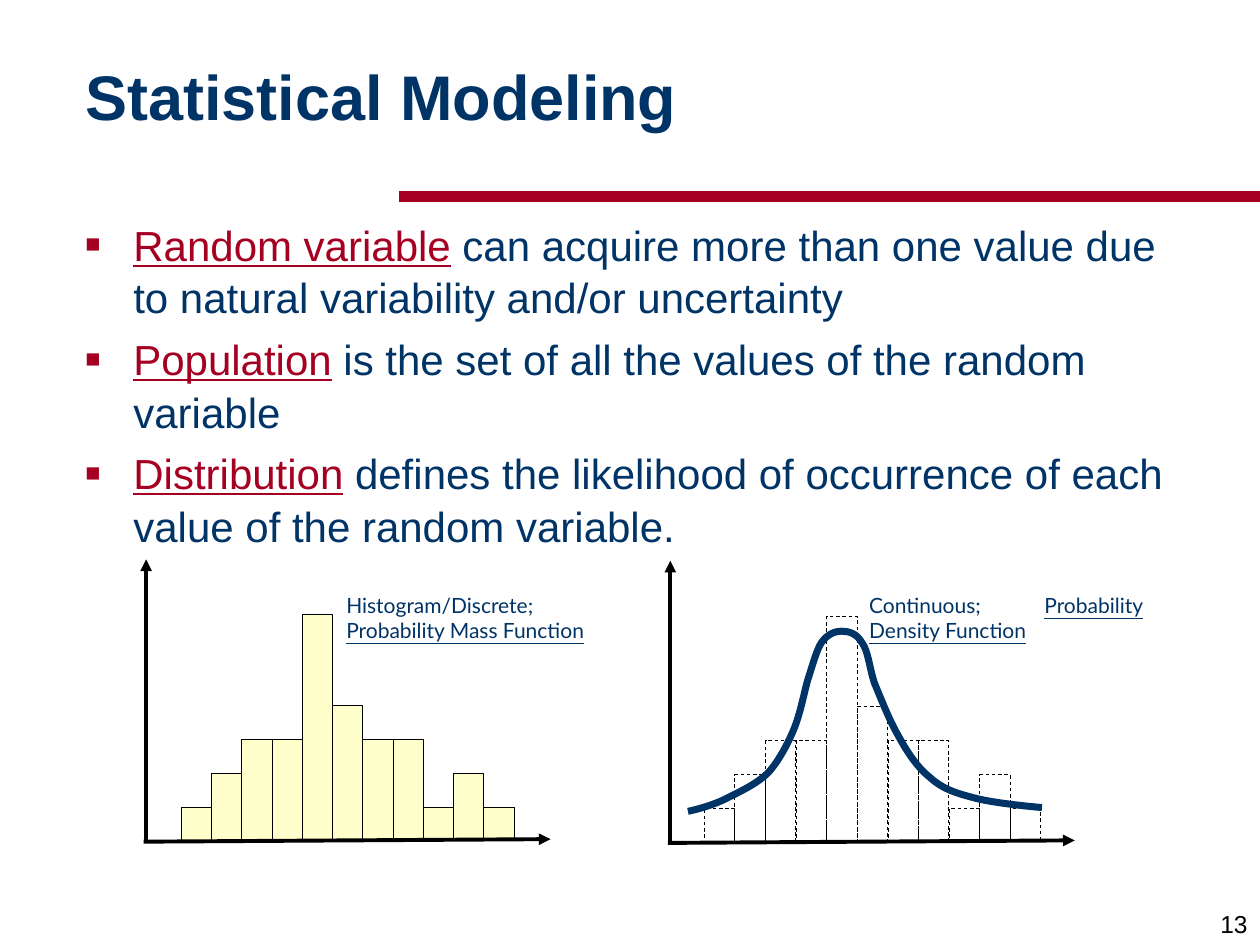
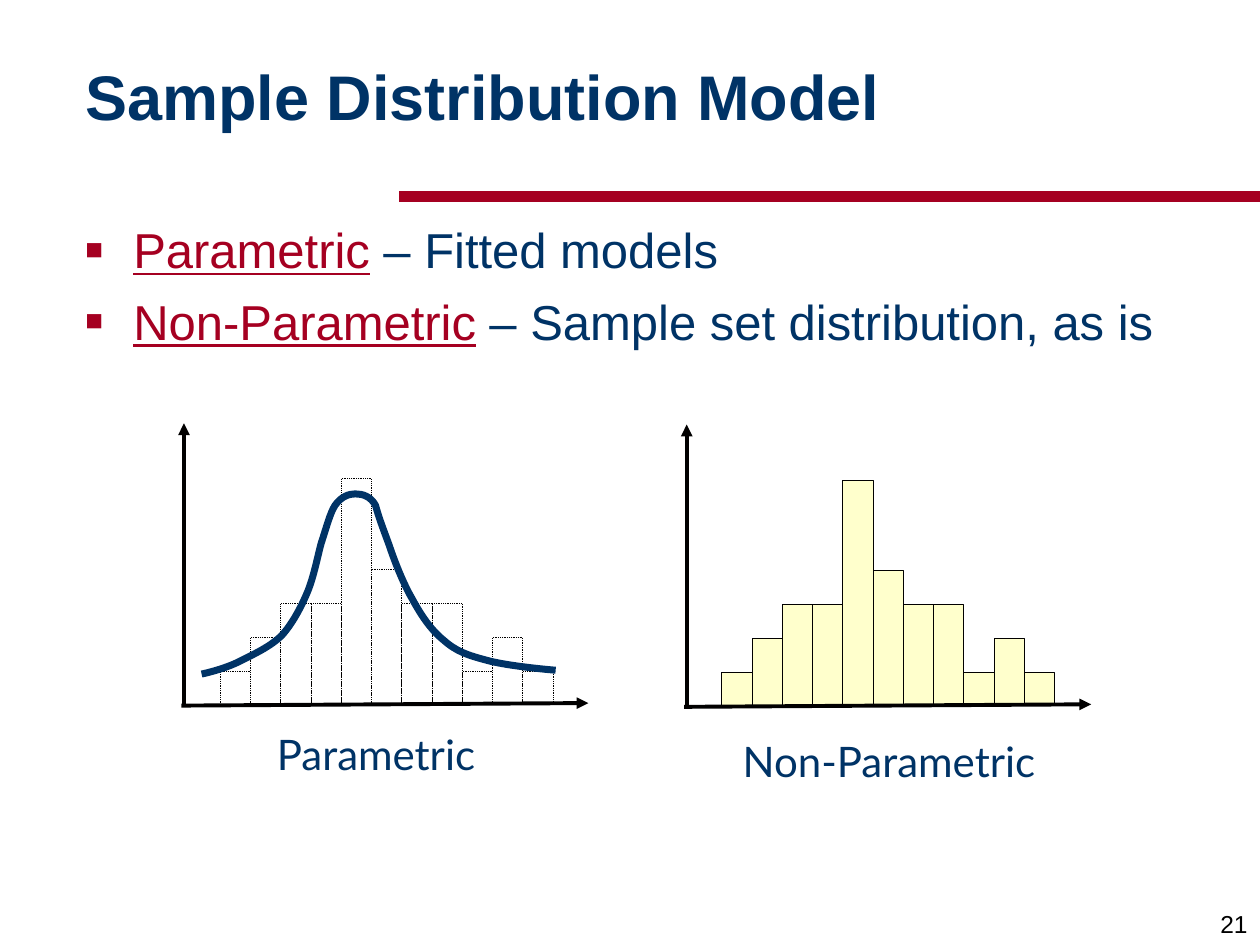
from lxml.etree import SubElement as Sub
from pptx import Presentation
from pptx.dml.color import RGBColor
from pptx.enum.dml import MSO_LINE_DASH_STYLE as Dash
from pptx.enum.shapes import MSO_CONNECTOR as Link, MSO_SHAPE as Kind
from pptx.enum.text import MSO_ANCHOR as Anchor, MSO_AUTO_SIZE as Auto, PP_ALIGN as Align
from pptx.oxml.ns import qn
from pptx.util import Inches, Pt

NAVY, RED, CREAM, INK, BLACK = "003366", "A50021", "FFFFCC", "010000", "000000"
SANS, LATO = "Arial", "Lato"
BARS = [0.26, 0.53, 0.8, 0.8, 1.79, 1.07, 0.8, 0.8, 0.26, 0.53, 0.26]

# Bell curve: start point, then cubic pieces (two handles and an end),
# measured from the origin of the axes with y pointing up.
RISE = [
    (0.14, 0.25),
    (0.19, 0.26), (0.35, 0.3), (0.46, 0.36),
    (0.56, 0.41), (0.69, 0.47), (0.78, 0.56),
    (0.86, 0.65), (0.93, 0.78), (0.98, 0.9),
    (1.03, 1.02), (1.06, 1.18), (1.09, 1.29),
    (1.13, 1.41), (1.16, 1.53), (1.2, 1.59),
    (1.25, 1.66), (1.31, 1.68), (1.36, 1.68),
    (1.42, 1.68), (1.48, 1.66), (1.52, 1.59),
]
ROUND = [(1.57, 1.53), (1.58, 1.39), (1.62, 1.27)]
STRAIGHT = [(1.55, 1.48), (1.59, 1.38), (1.63, 1.27)]
FALL = [
    (1.67, 1.15), (1.74, 0.97), (1.81, 0.85),
    (1.88, 0.72), (1.96, 0.6), (2.06, 0.52),
    (2.16, 0.43), (2.25, 0.4), (2.4, 0.36),
    (2.54, 0.32), (2.83, 0.29), (2.95, 0.28),
]


def color(code):
    return RGBColor.from_string(code)


def style(run, size, code=NAVY, face=SANS, bold=False, under=False):
    font = run.font
    font.size, font.name = Pt(size), face
    font.bold, font.underline = bold, under
    font.color.rgb = color(code)


def add_box(slide, left, top, width, height):
    frame = slide.shapes.add_textbox(*map(Inches, (left, top, width, height))).text_frame
    frame.word_wrap = True
    return frame


def add_line(slide, start, end, code, weight, arrow=False):
    line = slide.shapes.add_connector(Link.STRAIGHT, *map(Inches, (*start, *end)))
    line.line.color.rgb = color(code)
    line.line.width = Pt(weight)
    if arrow:
        Sub(line.line._get_or_add_ln(), qn("a:tailEnd"), type="triangle")
    Sub(line._element.spPr, qn("a:effectLst"))


def add_page(deck, title, number):
    """Add a slide with the shared rule, title and page number."""
    slide = deck.slides.add_slide(deck.slide_layouts[6])
    add_line(slide, (3.17, 1.56), (10, 1.56), RED, 6)

    foot = add_box(slide, 7.92, 7, 2.08, 0.5)
    foot.word_wrap = False
    foot.vertical_anchor = Anchor.BOTTOM
    foot.text = str(number)
    foot.paragraphs[0].alignment = Align.RIGHT
    style(foot.paragraphs[0].runs[0], 14, BLACK)

    head = add_box(slide, 0.58, 0.17, 8.92, 1.25)
    head.vertical_anchor = Anchor.MIDDLE
    head.text = title
    head.paragraphs[0].line_spacing = 0.9
    style(head.paragraphs[0].runs[0], 36, bold=True)
    return slide


def add_bullet(para):
    props = para._p.get_or_add_pPr()
    props.set("marL", str(Inches(0.38)))
    props.set("indent", str(-Inches(0.38)))
    Sub(Sub(props, qn("a:buClr")), qn("a:srgbClr"), val=RED)
    Sub(props, qn("a:buSzPct"), val="60000")
    Sub(props, qn("a:buFont"), typeface=SANS)
    Sub(props, qn("a:buChar"), char="■")


def add_terms(slide, height, size, items):
    """List each term, underlined in red, with its meaning."""
    frame = add_box(slide, 0.58, 1.67, 8.92, height)
    for i, (term, rest) in enumerate(items):
        para = frame.add_paragraph() if i else frame.paragraphs[0]
        add_bullet(para)
        para.line_spacing = 1.05
        if i:
            para.space_before = Pt(0.2 * size)
        para.text = term
        style(para.runs[0], size, RED, under=True)
        tail = para.add_run()
        tail.text = rest
        style(tail, size)


def add_bars(slide, x, y, span, fill=None, dash=None):
    """Draw the histogram; span runs from the first bar to the last."""
    step = span / (len(BARS) - 1)
    for i, tall in enumerate(BARS):
        place = (x + i * step, y - tall, 0.24, tall)
        bar = slide.shapes.add_shape(Kind.RECTANGLE, *map(Inches, place))
        bar.shadow.inherit = False
        if fill:
            bar.fill.solid()
            bar.fill.fore_color.rgb = color(fill)
        else:
            bar.fill.background()
        bar.line.color.rgb = color(INK)
        bar.line.width = Pt(0.5)
        if dash:
            bar.line.dash_style = dash


def add_axes(slide, x, y):
    add_line(slide, (x, y), (x, y - 2.24), INK, 2.25, arrow=True)
    add_line(slide, (x - 0.02, y), (x + 3.21, y - 0.02), INK, 2.25, arrow=True)


def add_curve(slide, x, y, bend):
    dots = [(Inches(x + dx), Inches(y - dy)) for dx, dy in RISE + bend + FALL]
    pen = slide.shapes.build_freeform(*dots[0])
    pen.add_line_segments(dots[1:], close=False)
    curve = pen.convert_to_shape()
    curve.shadow.inherit = False
    curve.fill.background()
    curve.line.color.rgb = color(NAVY)
    curve.line.width = Pt(4)

    # Every three line points become one cubic piece.
    track = next(curve._element.iter(qn("a:path")))
    legs = track.findall(qn("a:lnTo"))
    for i in range(0, len(legs), 3):
        piece = Sub(track, qn("a:cubicBezTo"))
        for leg in legs[i:i + 3]:
            piece.append(leg[0])
            track.remove(leg)


def add_plot(slide, x, y, start=0.28, span=2.4, fill=None, dash=None, bend=None):
    """Draw bars and axes with the origin at x, y, and a curve if bend is given."""
    add_bars(slide, x + start, y - 0.01, span, fill, dash)
    add_axes(slide, x, y)
    if bend:
        add_curve(slide, x, y, bend)


def add_note(slide, left, top, width, lead, name, tab=None):
    """Label a plot with its kind and the underlined name of its function."""
    frame = add_box(slide, left, top, width, 0.5)
    frame.auto_size = Auto.SHAPE_TO_FIT_TEXT
    para = frame.paragraphs[0]
    if tab:
        stops = Sub(para._p.get_or_add_pPr(), qn("a:tabLst"))
        Sub(stops, qn("a:tab"), pos=str(Inches(tab)), algn="l")
    para.text = lead
    style(para.runs[0], 12, face=LATO)
    run = para.add_run()
    run.text = name
    style(run, 12, face=LATO, under=True)


def add_name(slide, left, top, width, text):
    frame = add_box(slide, left, top, width, 0.5)
    frame.auto_size = Auto.SHAPE_TO_FIT_TEXT
    frame.text = text
    frame.paragraphs[0].alignment = Align.CENTER
    style(frame.paragraphs[0].runs[0], 24, face=LATO)


def add_random(deck):
    slide = add_page(deck, "Statistical Modeling", 13)
    add_terms(slide, 2.84, 24, [
        ("Random variable", " can acquire more than one value due to natural"
         " variability and/or uncertainty"),
        ("Population", " is the set of all the values of the random variable"),
        ("Distribution", " defines the likelihood of occurrence of each value"
         " of the random variable."),
    ])
    add_note(slide, 2.65, 4.65, 2.38, "Histogram/Discrete; ", "Probability Mass Function")
    add_plot(slide, 5.32, 6.69, start=0.27, span=2.43, dash=Dash.DASH, bend=ROUND)
    add_note(slide, 6.8, 4.65, 2.45, "Continuous;\t", "Probability Density Function", tab=1.39)
    add_plot(slide, 1.16, 6.68, fill=CREAM)


def add_sample(deck):
    slide = add_page(deck, "Sample Distribution Model", 21)
    add_terms(slide, 2.31, 28, [
        ("Parametric", " – Fitted models"),
        ("Non-Parametric", " – Sample set distribution, as is"),
    ])
    add_plot(slide, 5.45, 5.61, fill=CREAM)
    add_name(slide, 5.56, 5.79, 2.99, "Non-Parametric")
    add_plot(slide, 1.46, 5.6, start=0.29, dash=Dash.ROUND_DOT, bend=STRAIGHT)
    add_name(slide, 1.82, 5.73, 2.33, "Parametric")


def main():
    deck = Presentation()
    deck.slide_width, deck.slide_height = Inches(10), Inches(7.5)
    add_random(deck)
    add_sample(deck)
    deck.save("out.pptx")


if __name__ == "__main__":
    main()
